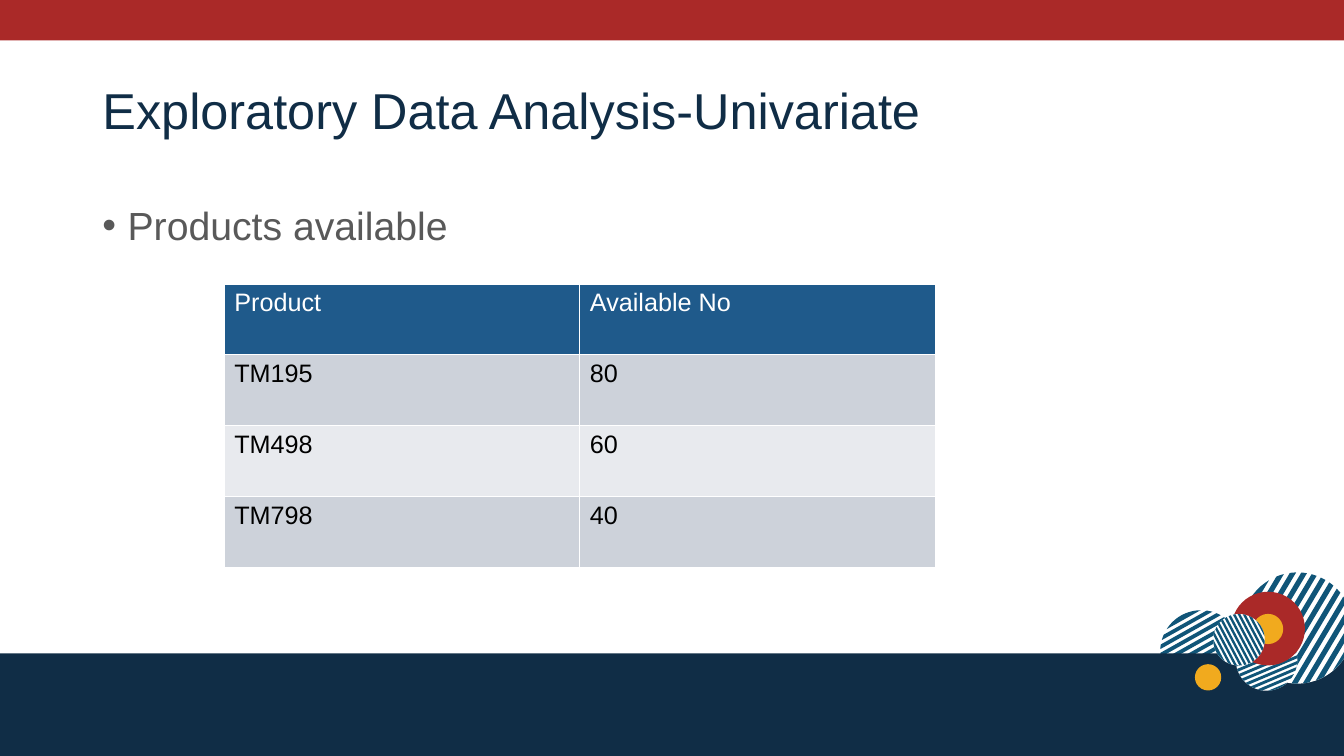
import math
from dataclasses import dataclass

import lxml.etree
import pptx
import pptx.dml.color
import pptx.enum.shapes
import pptx.enum.text
import pptx.oxml.ns
import pptx.util

Pt = pptx.util.Pt
qn = pptx.oxml.ns.qn
KIND = pptx.enum.shapes.MSO_SHAPE
FONT = "Arial"
COLORS = {
    "navy": "102D46", "red": "AA2928", "gold": "F1AA1E", "teal": "105578",
    "white": "FFFFFF", "gray": "595959", "black": "000000",
    "head": "1F5A8B", "dark": "CDD2DA", "light": "E8EAEE",
}
BARS = 12
STEPS = 8


@dataclass
class Band:
    """A full-width strip."""
    top: float
    height: float
    color: str


@dataclass
class Dot:
    """A plain disc, given by its centre and radius."""
    x: float
    y: float
    radius: float
    color: str


@dataclass
class Striped:
    """A disc of parallel bars; angle is the way the bars follow each other."""
    x: float
    y: float
    radius: float
    angle: float
    backed: bool = True


DECOR = [
    Striped(858, 465.1, 29.2, 60.7, backed=False),
    Band(466.6, 73.4, "navy"),
    Striped(926.8, 448.6, 39.7, 30.8),
    Striped(904.7, 471.4, 22, 67.1),
    Dot(905.8, 449, 26.3, "red"),
    Dot(905.8, 449.3, 10.8, "gold"),
    Striped(885, 457, 18.4, 332.2),
    Dot(862.9, 483.8, 9.4, "gold"),
    Band(-0.7, 29.5, "red"),
]
ROWS = [
    ("Product", "Available No"),
    ("TM195", "80"),
    ("TM498", "60"),
    ("TM798", "40"),
]


def tint(name: str) -> pptx.dml.color.RGBColor:
    """Look up a colour by name."""
    return pptx.dml.color.RGBColor.from_string(COLORS[name])


def paint(shape, color: str) -> None:
    """Fill a shape flat, with no line or shadow."""
    shape.shadow.inherit = False
    shape.fill.solid()
    shape.fill.fore_color.rgb = tint(color)
    shape.line.fill.background()


def add_band(slide, band: Band) -> None:
    """Draw a strip across the slide."""
    paint(slide.shapes.add_shape(KIND.RECTANGLE, 0, Pt(band.top), Pt(960),
                                 Pt(band.height)), band.color)


def add_dot(slide, dot: Dot) -> None:
    """Draw a plain disc."""
    size = Pt(2 * dot.radius)
    paint(slide.shapes.add_shape(KIND.OVAL, Pt(dot.x - dot.radius),
                                 Pt(dot.y - dot.radius), size, size), dot.color)


def bar_points(disc: Striped, index: int) -> list[tuple[int, int]]:
    """Outline one bar: a slice of the disc between two chords."""
    end = -0.88 + 0.174 * index
    start = end - 0.093 if index else -1
    first, last = math.acos(start), math.acos(min(end, 1))
    side = [first + (last - first) * i / STEPS for i in range(STEPS + 1)]
    turn = math.radians(disc.angle)
    return [(Pt(disc.x + disc.radius * math.cos(turn + a)),
             Pt(disc.y + disc.radius * math.sin(turn + a)))
            for a in side + [-a for a in reversed(side)]]


def add_striped(slide, disc: Striped) -> None:
    """Draw all bars of a disc as one outline, on white if it is backed."""
    if disc.backed:
        add_dot(slide, Dot(disc.x, disc.y, disc.radius, "white"))
    bars = [bar_points(disc, i) for i in range(BARS)]
    pen = slide.shapes.build_freeform(*bars[0][0], scale=1.0)
    for i, points in enumerate(bars):
        if i:
            pen.move_to(*points[0])
        pen.add_line_segments(points[1:], close=True)
    paint(pen.convert_to_shape(), "teal")


def add_run(para, text: str, size: float, color: str) -> None:
    """Add one run of text."""
    run = para.add_run()
    run.text = text
    run.font.name = FONT
    run.font.size = Pt(size)
    run.font.bold = False
    run.font.color.rgb = tint(color)


def place(shape, top: float, height: float, anchor):
    """Move a text holder and return its first paragraph."""
    shape.left, shape.top = Pt(66), Pt(top)
    shape.width, shape.height = Pt(828), Pt(height)
    frame = shape.text_frame
    frame.word_wrap = True
    frame.auto_size = pptx.enum.text.MSO_AUTO_SIZE.NONE
    frame.vertical_anchor = anchor
    para = frame.paragraphs[0]
    para.alignment = pptx.enum.text.PP_ALIGN.LEFT
    para.line_spacing = 0.9
    return para


def add_edges(cell) -> None:
    """Give a cell thin white borders."""
    props = cell._tc.get_or_add_tcPr()
    for side in ("lnL", "lnR", "lnT", "lnB"):
        line = lxml.etree.SubElement(props, qn("a:" + side), w=str(Pt(1)))
        fill = lxml.etree.SubElement(line, qn("a:solidFill"))
        lxml.etree.SubElement(fill, qn("a:srgbClr"), val=COLORS["white"])


def add_grid(slide) -> None:
    """Draw the product table."""
    table = slide.shapes.add_table(len(ROWS), 2, Pt(160.2), Pt(202.8),
                                   Pt(508), Pt(202.4)).table
    for r, texts in enumerate(ROWS):
        back = "head" if r == 0 else "dark" if r % 2 else "light"
        for c, text in enumerate(texts):
            cell = table.cell(r, c)
            add_edges(cell)
            cell.fill.solid()
            cell.fill.fore_color.rgb = tint(back)
            add_run(cell.text_frame.paragraphs[0], text, 18,
                    "black" if r else "white")


def main() -> None:
    """Build and save the slide."""
    deck = pptx.Presentation()
    deck.slide_width, deck.slide_height = Pt(960), Pt(540)
    slide = deck.slides.add_slide(deck.slide_layouts[1])
    draw = {Band: add_band, Dot: add_dot, Striped: add_striped}
    for item in DECOR:
        draw[type(item)](slide, item)

    anchor = pptx.enum.text.MSO_ANCHOR
    head = place(slide.shapes.title, 28.8, 104.4, anchor.MIDDLE)
    add_run(head, "Exploratory Data Analysis-Univariate", 36, "navy")
    point = place(slide.placeholders[1], 144, 298, anchor.TOP)
    point.space_before = Pt(10)
    props = point._p.get_or_add_pPr()
    props.set("marL", str(Pt(18)))
    props.set("indent", str(Pt(-18)))
    lxml.etree.SubElement(props, qn("a:buFont"), typeface=FONT)
    lxml.etree.SubElement(props, qn("a:buChar"), char="•")
    add_run(point, "Products available", 28, "gray")
    add_grid(slide)
    deck.save("out.pptx")


main()
